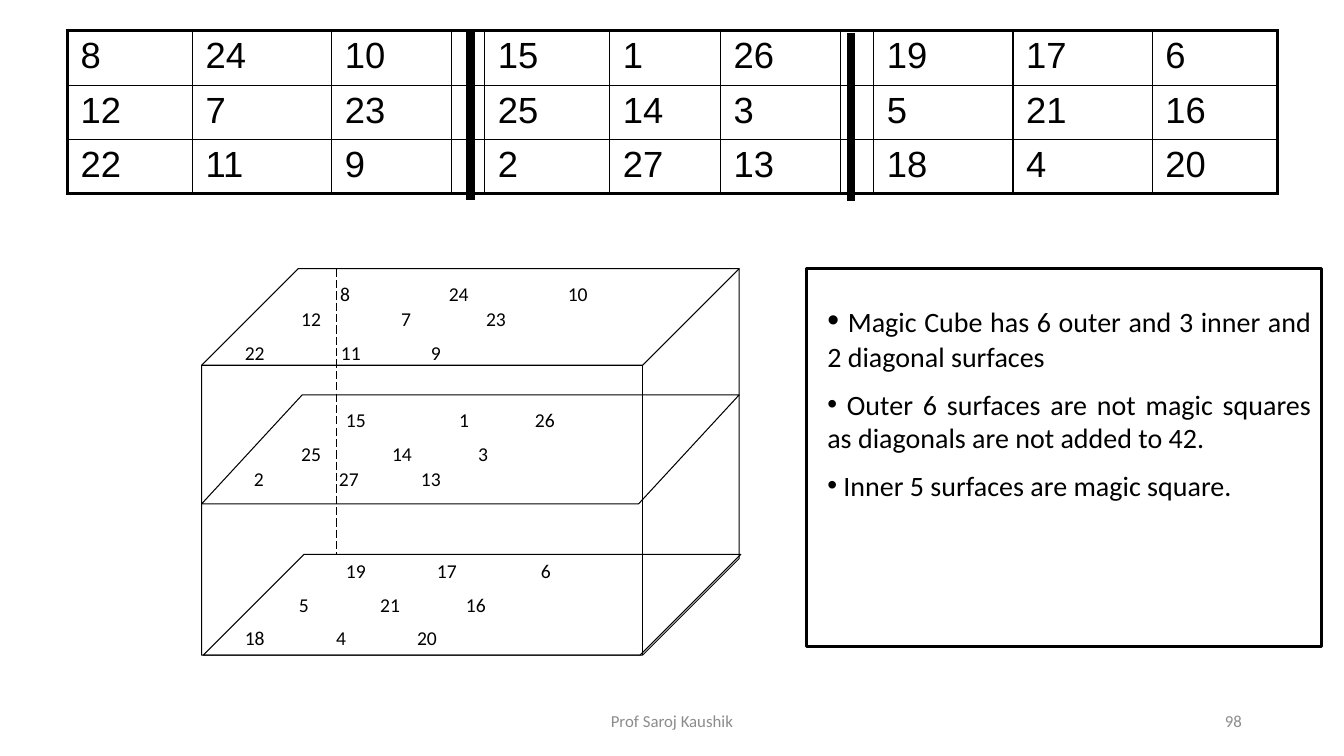
from lxml import etree
from pptx import Presentation
from pptx.dml.color import RGBColor
from pptx.enum.dml import MSO_LINE
from pptx.enum.shapes import MSO_CONNECTOR, MSO_SHAPE
from pptx.enum.text import MSO_ANCHOR, PP_ALIGN
from pptx.oxml.ns import qn
from pptx.util import Cm, Pt

STRAIGHT = MSO_CONNECTOR.STRAIGHT
CUBE, SLANT, RECT = MSO_SHAPE.CUBE, MSO_SHAPE.PARALLELOGRAM, MSO_SHAPE.RECTANGLE
LEFT, MID, RIGHT, JUST = PP_ALIGN.LEFT, PP_ALIGN.CENTER, PP_ALIGN.RIGHT, PP_ALIGN.JUSTIFY
DASH = MSO_LINE.LONG_DASH
COLORS = {"ink": "000000", "foot": "8C8C8C"}

# The three layers of the magic cube, top to bottom
LAYERS = [
    [[8, 24, 10], [12, 7, 23], [22, 11, 9]],
    [[15, 1, 26], [25, 14, 3], [2, 27, 13]],
    [[19, 17, 6], [5, 21, 16], [18, 4, 20]],
]
# Top of each row of numbers and the left of each number, in cm
SPOTS = [
    [(6.98, (8.57, 11.31, 14.31)), (7.62, (7.59, 10.11, 12.25)), (8.47, (6.17, 8.59, 10.86))],
    [(10.16, (8.72, 11.57, 13.48)), (11.01, (7.59, 9.88, 12.05)), (11.64, (6.4, 8.54, 10.61))],
    [(13.97, (8.72, 11.01, 13.63)), (14.82, (7.53, 9.58, 11.74)), (15.66, (6.17, 8.47, 10.51))],
]
SOLIDS = [
    (CUBE, (5.08, 6.77, 13.55, 9.74), 0.25),
    (SLANT, (5.08, 9.95, 13.55, 2.75), 0.923),
    (SLANT, (5.12, 13.97, 13.55, 2.54), 1),
]
COLS = [3.15, 3.51, 3.02, 0.84, 3.15, 2.79, 3.02, 0.84, 3.51, 3.51, 3.15]
ROWS = [1.4, 1.35, 1.35]
BARS = [(11.86, 0.79), (21.44, 0.82)]
NOTES = [
    [(" ", 24), ("Magic Cube has 6 outer and 3 inner and 2 diagonal surfaces", 20)],
    [(" Outer 6 surfaces are not magic squares as diagonals are not added to 42.", 20)],
    [(" Inner 5 surfaces are magic square.", 20)],
]
FOOT = [
    ("Prof Saroj Kaushik", (11.22, 17.65, 11.43, 1.02), MID),
    ("98", (23.93, 17.65, 7.62, 1.02), RIGHT),
]
INSET = 0.25


def add_run(para, text, size, font="Calibri", color="ink"):
    run = para.add_run()
    run.text = text
    run.font.size, run.font.name = Pt(size), font
    run.font.color.rgb = RGBColor.from_string(COLORS[color])


def add_box(shapes, place):
    frame = shapes.add_textbox(*map(Cm, place)).text_frame
    frame.word_wrap = True
    return frame


def set_line(line, width):
    line.color.rgb = RGBColor.from_string(COLORS["ink"])
    line.width = Pt(width)


def add_solid(shapes, kind, place, width, adjust=None):
    shape = shapes.add_shape(kind, *map(Cm, place))
    shape.shadow.inherit = False
    shape.fill.background()
    set_line(shape.line, width)
    if adjust is not None:
        shape.adjustments[0] = adjust


def add_rule(shapes, x, top, end, width):
    rule = shapes.add_connector(STRAIGHT, Cm(x), Cm(top), Cm(x), Cm(end))
    set_line(rule.line, width)
    etree.SubElement(rule._element.spPr, qn("a:effectLst"))
    return rule


def add_row(shapes, nums, top, lefts):
    """Write one row of numbers, each after the first set at a tab stop."""
    start = lefts[0]
    para = add_box(shapes, (start - INSET, top, 10, 0.84)).paragraphs[0]
    stops = etree.SubElement(para._p.get_or_add_pPr(), qn("a:tabLst"))
    for left in lefts[1:]:
        etree.SubElement(stops, qn("a:tab"), pos=str(Cm(left - start)), algn="l")
    add_run(para, "\t".join(map(str, nums)), 14)


def set_edges(cell, widths):
    props = cell._tc.get_or_add_tcPr()
    for spot, (side, width) in enumerate(widths.items()):
        edge = etree.Element(qn("a:ln" + side), w=str(Pt(width)))
        fill = etree.SubElement(edge, qn("a:solidFill"))
        etree.SubElement(fill, qn("a:srgbClr"), val=COLORS["ink"])
        props.insert(spot, edge)


def add_grid(shapes):
    """Lay the layers side by side, with a thin empty column between them."""
    place = (1.7, 0.76, sum(COLS), sum(ROWS))
    table = shapes.add_table(len(ROWS), len(COLS), *map(Cm, place)).table
    table.first_row = table.horz_banding = False
    for col, width in zip(table.columns, COLS):
        col.width = Cm(width)
    for row, height in zip(table.rows, ROWS):
        row.height = Cm(height)
    last_row, last_col = len(ROWS) - 1, len(COLS) - 1
    for r in range(len(ROWS)):
        for c in range(len(COLS)):
            cell = table.cell(r, c)
            cell.fill.background()
            cell.margin_left = cell.margin_right = Cm(0.33)
            outer = {"L": c == 0, "R": c == last_col, "T": r == 0, "B": r == last_row}
            set_edges(cell, {side: 2.25 if out else 1 for side, out in outer.items()})
            layer, spot = divmod(c, 4)
            if spot < 3:
                add_run(cell.text_frame.paragraphs[0], str(LAYERS[layer][r][spot]), 26, "Arial")


def add_notes(shapes):
    frame = add_box(shapes, (20.6, 7.42, 12.7, 6.83))
    for i, runs in enumerate(NOTES):
        para = frame.add_paragraph() if i else frame.paragraphs[0]
        para.alignment = JUST
        para.space_before = Pt(10)
        props = para._p.get_or_add_pPr()
        etree.SubElement(props, qn("a:buFont"), typeface="Arial")
        etree.SubElement(props, qn("a:buChar"), char="•")
        for text, size in runs:
            add_run(para, text, size)


def main():
    deck = Presentation()
    deck.slide_width, deck.slide_height = Cm(33.87), Cm(19.05)
    shapes = deck.slides.add_slide(deck.slide_layouts[6]).shapes

    for text, place, align in FOOT:
        frame = add_box(shapes, place)
        frame.vertical_anchor = MSO_ANCHOR.MIDDLE
        frame.paragraphs[0].alignment = align
        add_run(frame.paragraphs[0], text, 12, color="foot")

    cube = shapes.add_group_shape().shapes
    for kind, place, adjust in SOLIDS:
        add_solid(cube, kind, place, 0.75, adjust)
    add_rule(cube, 8.47, 6.77, 13.97, 0.75).line.dash_style = DASH
    for layer, spots in zip(LAYERS, SPOTS):
        for nums, (top, lefts) in zip(layer, spots):
            add_row(cube, nums, top, lefts)

    add_grid(shapes)
    for x, top in BARS:
        add_rule(shapes, x, top, top + 4.24, 6)
    add_notes(shapes)
    add_solid(shapes, RECT, (20.32, 6.77, 12.98, 9.53), 2.25)
    deck.save("out.pptx")


if __name__ == "__main__":
    main()
